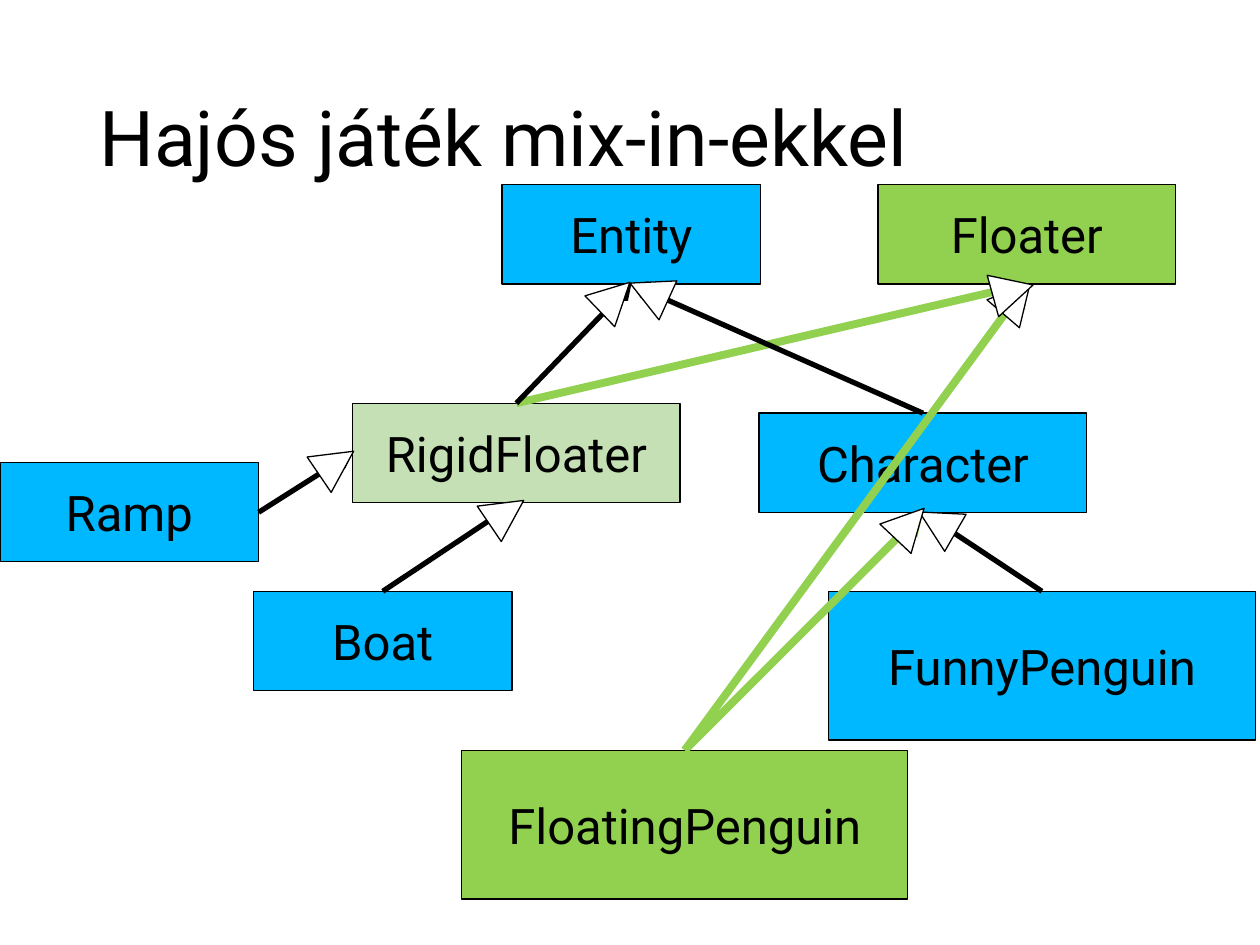
from lxml import etree
from pptx import Presentation
from pptx.dml.color import RGBColor
from pptx.enum.shapes import MSO_CONNECTOR, MSO_SHAPE
from pptx.enum.text import MSO_ANCHOR, PP_ALIGN
from pptx.oxml.ns import qn
from pptx.util import Pt

RECTANGLE = MSO_SHAPE.RECTANGLE
TRIANGLE = MSO_SHAPE.ISOSCELES_TRIANGLE
STRAIGHT = MSO_CONNECTOR.STRAIGHT
LEFT, CENTER = PP_ALIGN.LEFT, PP_ALIGN.CENTER
MIDDLE = MSO_ANCHOR.MIDDLE
TOP_SIDE, LEFT_SIDE, BOTTOM_SIDE, RIGHT_SIDE = range(4)

FONT = "Roboto"
BLACK, WHITE = "000000", "FFFFFF"
BLUE, GREEN, PALE_GREEN = "00B8FF", "92D050", "C5E0B4"
HEAD_WIDTH, HEAD_HEIGHT = 24.5, 23.8


def color(hex_string):
    return RGBColor.from_string(hex_string)


def add_outlined_shape(kind, left, top, width, height, fill):
    shape = slide.shapes.add_shape(kind, Pt(left), Pt(top), Pt(width), Pt(height))
    shape.shadow.inherit = False
    shape.fill.solid()
    shape.fill.fore_color.rgb = color(fill)
    shape.line.color.rgb = color(BLACK)
    shape.line.width = Pt(0.75)
    return shape


presentation = Presentation()
presentation.slide_width, presentation.slide_height = Pt(720), Pt(540)
slide = presentation.slides.add_slide(presentation.slide_layouts[5])

title = slide.shapes.title
title.left, title.top, title.width, title.height = Pt(49.5), Pt(28.8), Pt(621), Pt(104.4)
title.text_frame.text = "Hajós játék mix-in-ekkel"
title.text_frame.vertical_anchor = MIDDLE
paragraph = title.text_frame.paragraphs[0]
paragraph.alignment = LEFT
paragraph.line_spacing = 0.9
paragraph.font.name = FONT
paragraph.font.size = Pt(44)
paragraph.font.color.rgb = color(BLACK)

# Class boxes: name, left, top, width, height, fill
classes = [
    ("Entity", 286.9, 105.6, 147.8, 56.7, BLUE),
    ("Boat", 144.8, 337.9, 147.8, 56.7, BLUE),
    ("RigidFloater", 201.5, 230.4, 187.2, 56.7, PALE_GREEN),
    ("FloatingPenguin", 263.8, 428.7, 255, 85, GREEN),
    ("Character", 433.8, 236.1, 187.2, 56.7, BLUE),
    ("FunnyPenguin", 473.4, 337.9, 244, 85, BLUE),
    ("Ramp", 0, 264.4, 147.8, 56.7, BLUE),
    ("Floater", 501.7, 105.6, 170, 56.7, GREEN),
]
boxes = {}
for name, left, top, width, height, fill in classes:
    box = add_outlined_shape(RECTANGLE, left, top, width, height, fill)
    box.text_frame.text = name
    box.text_frame.vertical_anchor = MIDDLE
    paragraph = box.text_frame.paragraphs[0]
    paragraph.alignment = CENTER
    paragraph.font.name = FONT
    paragraph.font.size = Pt(28)
    paragraph.font.color.rgb = color(BLACK)
    boxes[name] = box

# Inheritance: child, side, parent, side, colour, head left, head top, head rotation
inheritances = [
    ("RigidFloater", TOP_SIDE, "Floater", BOTTOM_SIDE, GREEN, 566.6, 154.1, 74.6),
    ("RigidFloater", TOP_SIDE, "Entity", BOTTOM_SIDE, BLACK, 339.1, 157.7, 46),
    ("Character", TOP_SIDE, "Entity", BOTTOM_SIDE, BLACK, 358.6, 154.8, 294.5),
    ("Boat", TOP_SIDE, "RigidFloater", BOTTOM_SIDE, BLACK, 277.2, 280.8, 55.8),
    ("Ramp", RIGHT_SIDE, "RigidFloater", LEFT_SIDE, BLACK, 180, 252.7, 55.8),
    ("FunnyPenguin", TOP_SIDE, "Character", BOTTOM_SIDE, BLACK, 523.4, 286.6, 300),
    ("FloatingPenguin", TOP_SIDE, "Character", BOTTOM_SIDE, GREEN, 507.6, 287.3, 43.2),
    ("FloatingPenguin", TOP_SIDE, "Floater", BOTTOM_SIDE, GREEN, 568.8, 158.4, 40.7),
]
heads = []
for child, child_side, parent, parent_side, line_color, left, top, rotation in inheritances:
    connector = slide.shapes.add_connector(STRAIGHT, 0, 0, 0, 0)
    connector.begin_connect(boxes[child], child_side)
    connector.end_connect(boxes[parent], parent_side)
    connector.line.color.rgb = color(line_color)
    connector.line.width = Pt(4.5 if line_color == GREEN else 3)
    line_xml = connector.line._get_or_add_ln()
    etree.SubElement(line_xml, qn("a:tailEnd"), type="arrow")
    etree.SubElement(connector.element.spPr, qn("a:effectLst"))

    head = add_outlined_shape(TRIANGLE, left, top, HEAD_WIDTH, HEAD_HEIGHT, WHITE)
    head.rotation = rotation
    heads.append(head)

# The Floater box covers the arrow tips below it, except the RigidFloater one
shape_tree = boxes["Floater"].element.getparent()
for shape in (boxes["Floater"], heads[0]):
    shape_tree.append(shape.element)

presentation.save("out.pptx")
